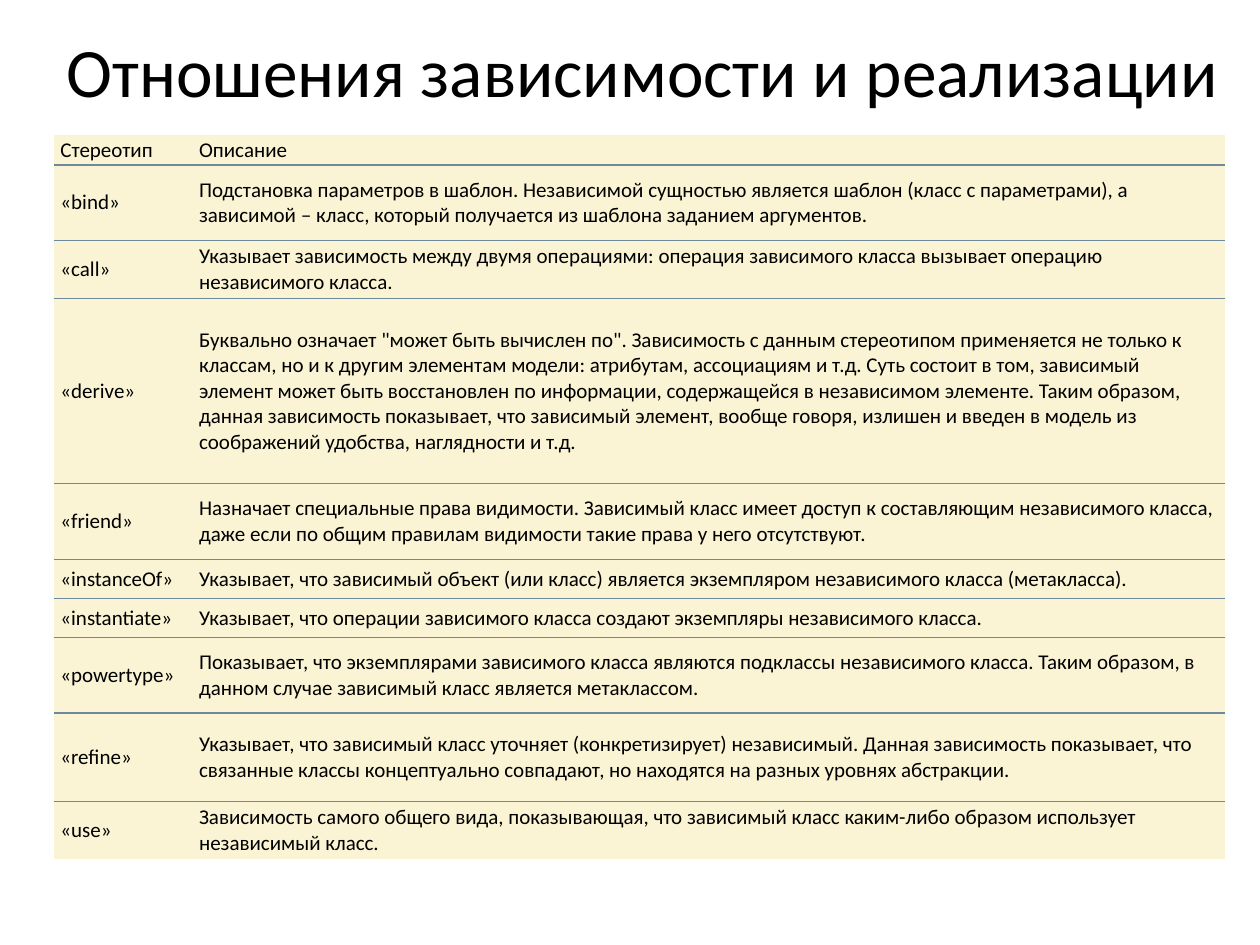
from lxml.etree import SubElement
from pptx import Presentation
from pptx.dml.color import RGBColor
from pptx.enum.text import MSO_ANCHOR, PP_ALIGN
from pptx.oxml.ns import qn
from pptx.util import Inches, Pt

COLORS = {"text": "000000", "cell": "FAF4D5", "rule": "6E889C"}
FONT = "Calibri"
COLUMN_WIDTHS = [1.1, 8.19]

# Row height, stereotype, description
ROWS = [
    (0.24, "Стереотип", "Описание"),
    (0.6, "«bind»",
     "Подстановка параметров в шаблон. Независимой сущностью является шаблон "
     "(класс с параметрами), а зависимой ‒ класс, который получается из шаблона "
     "заданием аргументов."),
    (0.46, "«call»",
     "Указывает зависимость между двумя операциями: операция зависимого класса "
     "вызывает операцию независимого класса."),
    (1.47, "«derive»",
     "Буквально означает \"может быть вычислен по\". Зависимость с данным "
     "стереотипом применяется не только к классам, но и к другим элементам модели: "
     "атрибутам, ассоциациям и т.д. Суть состоит в том, зависимый элемент может быть "
     "восстановлен по информации, содержащейся в независимом элементе. Таким образом, "
     "данная зависимость показывает, что зависимый элемент, вообще говоря, излишен и "
     "введен в модель из соображений удобства, наглядности и т.д."),
    (0.6, "«friend»",
     "Назначает специальные права видимости. Зависимый класс имеет доступ к "
     "составляющим независимого класса, даже если по общим правилам видимости такие "
     "права у него отсутствуют."),
    (0.31, "«instanceOf»",
     "Указывает, что зависимый объект (или класс) является экземпляром независимого "
     "класса (метакласса)."),
    (0.31, "«instantiate»",
     "Указывает, что операции зависимого класса создают экземпляры независимого "
     "класса."),
    (0.6, "«powertype»",
     "Показывает, что экземплярами зависимого класса являются подклассы независимого "
     "класса. Таким образом, в данном случае зависимый класс является метаклассом."),
    (0.7, "«refine»",
     "Указывает, что зависимый класс уточняет (конкретизирует) независимый. Данная "
     "зависимость показывает, что связанные классы концептуально совпадают, но "
     "находятся на разных уровнях абстракции."),
    (0.46, "«use»",
     "Зависимость самого общего вида, показывающая, что зависимый класс каким-либо "
     "образом использует независимый класс."),
]


def add_run(paragraph, text, size):
    run = paragraph.add_run()
    run.text = text
    run.font.name = FONT
    run.font.size = Pt(size)
    run.font.bold = False
    run.font.color.rgb = RGBColor.from_string(COLORS["text"])


def add_title(slide, text):
    box = slide.shapes.add_textbox(Inches(0.2), Inches(0.13), Inches(9.8), Inches(0.85))
    frame = box.text_frame
    frame.word_wrap = True
    frame.vertical_anchor = MSO_ANCHOR.MIDDLE
    paragraph = frame.paragraphs[0]
    paragraph.alignment = PP_ALIGN.CENTER
    add_run(paragraph, text, 39.6)


def set_borders(cell, ruled_sides):
    """Rule the named sides (L, R, T, B) and clear the others."""
    properties = cell._tc.get_or_add_tcPr()
    for position, side in enumerate("LRTB"):
        line = SubElement(properties, qn(f"a:ln{side}"), w=str(Pt(0.75)))
        if side in ruled_sides:
            fill = SubElement(line, qn("a:solidFill"))
            SubElement(fill, qn("a:srgbClr"), val=COLORS["rule"])
        else:
            SubElement(line, qn("a:noFill"))
        properties.insert(position, line)


def fill_cell(cell, text, ruled_sides):
    cell.margin_left = cell.margin_right = Inches(0.05)
    cell.margin_top = cell.margin_bottom = Inches(0.01)
    cell.vertical_anchor = MSO_ANCHOR.MIDDLE
    cell.fill.solid()
    cell.fill.fore_color.rgb = RGBColor.from_string(COLORS["cell"])
    add_run(cell.text_frame.paragraphs[0], text, 12)
    set_borders(cell, ruled_sides)


def add_stereotype_table(slide):
    height = sum(row[0] for row in ROWS)
    table = slide.shapes.add_table(
        len(ROWS), len(COLUMN_WIDTHS), Inches(0.43), Inches(1.07),
        Inches(sum(COLUMN_WIDTHS)), Inches(height)).table
    table.horz_banding = False
    for column, width in zip(table.columns, COLUMN_WIDTHS):
        column.width = Inches(width)
    last = len(ROWS) - 1
    for index, (row_height, *texts) in enumerate(ROWS):
        table.rows[index].height = Inches(row_height)
        ruled_sides = ("T" if index > 0 else "") + ("B" if index < last else "")
        for column, text in enumerate(texts):
            fill_cell(table.cell(index, column), text, ruled_sides)


def main():
    presentation = Presentation()
    presentation.slide_width = Inches(10)
    presentation.slide_height = Inches(7.5)
    slide = presentation.slides.add_slide(presentation.slide_layouts[6])
    add_title(slide, "Отношения зависимости и реализации")
    add_stereotype_table(slide)
    presentation.save("out.pptx")


if __name__ == "__main__":
    main()
